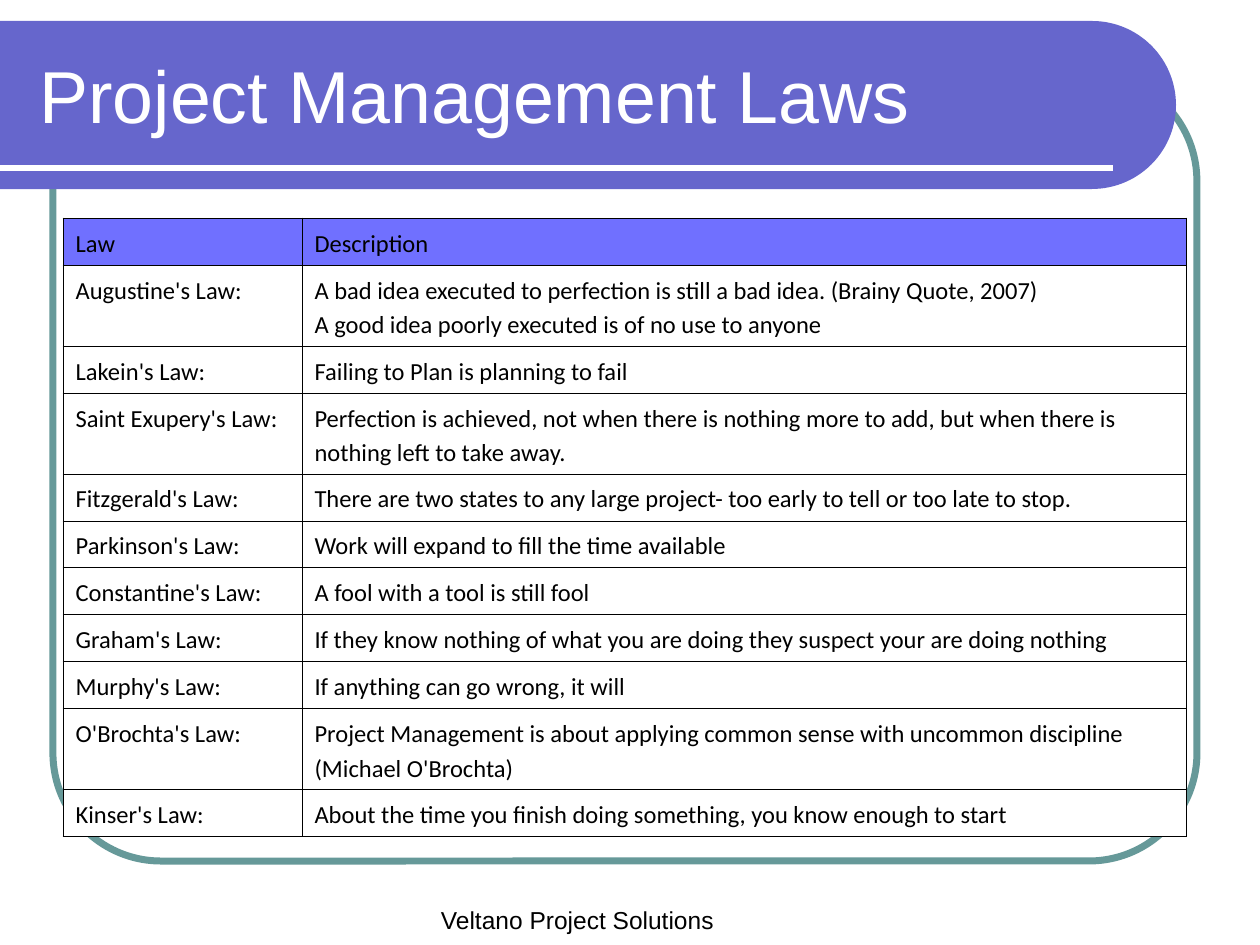
from math import cos, pi, sin

from lxml.etree import SubElement
from pptx import Presentation
from pptx.dml.color import RGBColor
from pptx.enum.shapes import MSO_CONNECTOR, MSO_SHAPE
from pptx.enum.text import MSO_ANCHOR, PP_ALIGN
from pptx.oxml import parse_xml
from pptx.oxml.ns import nsdecls, qn
from pptx.util import Pt

SCALE = 914400 / 126


def px(*lengths):
    return [round(length * SCALE) for length in lengths]


def rgb(hex_color):
    return RGBColor.from_string(hex_color)


prs = Presentation()
prs.slide_width, prs.slide_height = px(1260, 945)
slide = prs.slides.add_slide(prs.slide_layouts[6])
shapes = slide.shapes

frame = shapes.add_shape(MSO_SHAPE.ROUNDED_RECTANGLE, *px(53, 73, 1144, 788))
frame.adjustments[0] = 0.137
frame.shadow.inherit = False
frame.fill.background()
frame.line.color.rgb = rgb("669999")
frame.line.width = Pt(4)

end_x, middle_y, radius, steps = 1092, 105, 84, 60
angles = [-pi / 2 + pi * step / steps for step in range(steps + 1)]
arc = [px(end_x + radius * cos(a), middle_y + radius * sin(a)) for a in angles]
outline = shapes.build_freeform(*px(0, middle_y - radius))
outline.add_line_segments([*arc, px(0, middle_y + radius)], close=True)
banner = outline.convert_to_shape()
banner.shadow.inherit = False
banner.fill.solid()
banner.fill.fore_color.rgb = rgb("6666CC")
banner.line.fill.background()

underline = shapes.add_connector(MSO_CONNECTOR.STRAIGHT, *px(0, 168, 1113, 168))
underline.line.color.rgb = rgb("FFFFFF")
underline.line.width = Pt(3)
SubElement(underline._element.spPr, qn("a:effectLst"))

captions = [
    ("Veltano Project Solutions", (210, 899, 735, 43), 14, "000000", PP_ALIGN.CENTER, MSO_ANCHOR.TOP),
    ("Project Management Laws", (27, 31, 1105, 126), 42, "FFFFFF", PP_ALIGN.LEFT, MSO_ANCHOR.MIDDLE),
]
for wording, bounds, size, color, align, anchor in captions:
    caption = shapes.add_textbox(*px(*bounds)).text_frame
    caption.word_wrap = True
    caption.vertical_anchor = anchor
    paragraph = caption.paragraphs[0]
    paragraph.alignment = align
    run = paragraph.add_run()
    run.text = wording
    run.font.name = "Arial"
    run.font.size = Pt(size)
    run.font.color.rgb = rgb(color)

laws = [
    ("Law", ["Description"], 47),
    ("Augustine's Law:", [
        "A bad idea executed to perfection is still a bad idea. (Brainy Quote, 2007)",
        "A good idea poorly executed is of no use to anyone",
    ], 81),
    ("Lakein's Law:", ["Failing to Plan is planning to fail"], 47),
    ("Saint Exupery's Law:", [
        "Perfection is achieved, not when there is nothing more to add, "
        "but when there is nothing left to take away.",
    ], 81),
    ("Fitzgerald's Law:", ["There are two states to any large project- too early to tell or too late to stop."], 47),
    ("Parkinson's Law:", ["Work will expand to fill the time available"], 47),
    ("Constantine's Law:", ["A fool with a tool is still fool"], 47),
    ("Graham's Law:", ["If they know nothing of what you are doing they suspect your are doing nothing"], 47),
    ("Murphy's Law:", ["If anything can go wrong, it will"], 47),
    ("O'Brochta's Law:", [
        "Project Management is about applying common sense with uncommon discipline (Michael O'Brochta)",
    ], 81),
    ("Kinser's Law:", ["About the time you finish doing something, you know enough to start"], 47),
]
table_height = sum(height for _, _, height in laws)
table = shapes.add_table(len(laws), 2, *px(63, 218, 1123, table_height)).table
table.first_row = table.horz_banding = False
for column, width in zip(table.columns, px(239, 884)):
    column.width = width

for row_index, (law, description, height) in enumerate(laws):
    table.rows[row_index].height = px(height)[0]
    for column_index, lines in enumerate([[law], description]):
        cell = table.cell(row_index, column_index)
        tc_pr = cell._tc.get_or_add_tcPr()
        for side in ("lnL", "lnR", "lnT", "lnB"):
            tc_pr.append(parse_xml(
                f'<a:{side} {nsdecls("a")} w="{Pt(0.45)}"><a:solidFill>'
                f'<a:srgbClr val="000000"/></a:solidFill></a:{side}>'
            ))
        cell.fill.solid()
        cell.fill.fore_color.rgb = rgb("FFFFFF" if row_index else "7070FF")
        for line_index, wording in enumerate(lines):
            text = cell.text_frame
            paragraph = text.add_paragraph() if line_index else text.paragraphs[0]
            paragraph.line_spacing = 1.15
            run = paragraph.add_run()
            run.text = wording
            run.font.name = "Calibri"
            run.font.size = Pt(14)
            run.font.color.rgb = rgb("000000")

prs.save("out.pptx")
